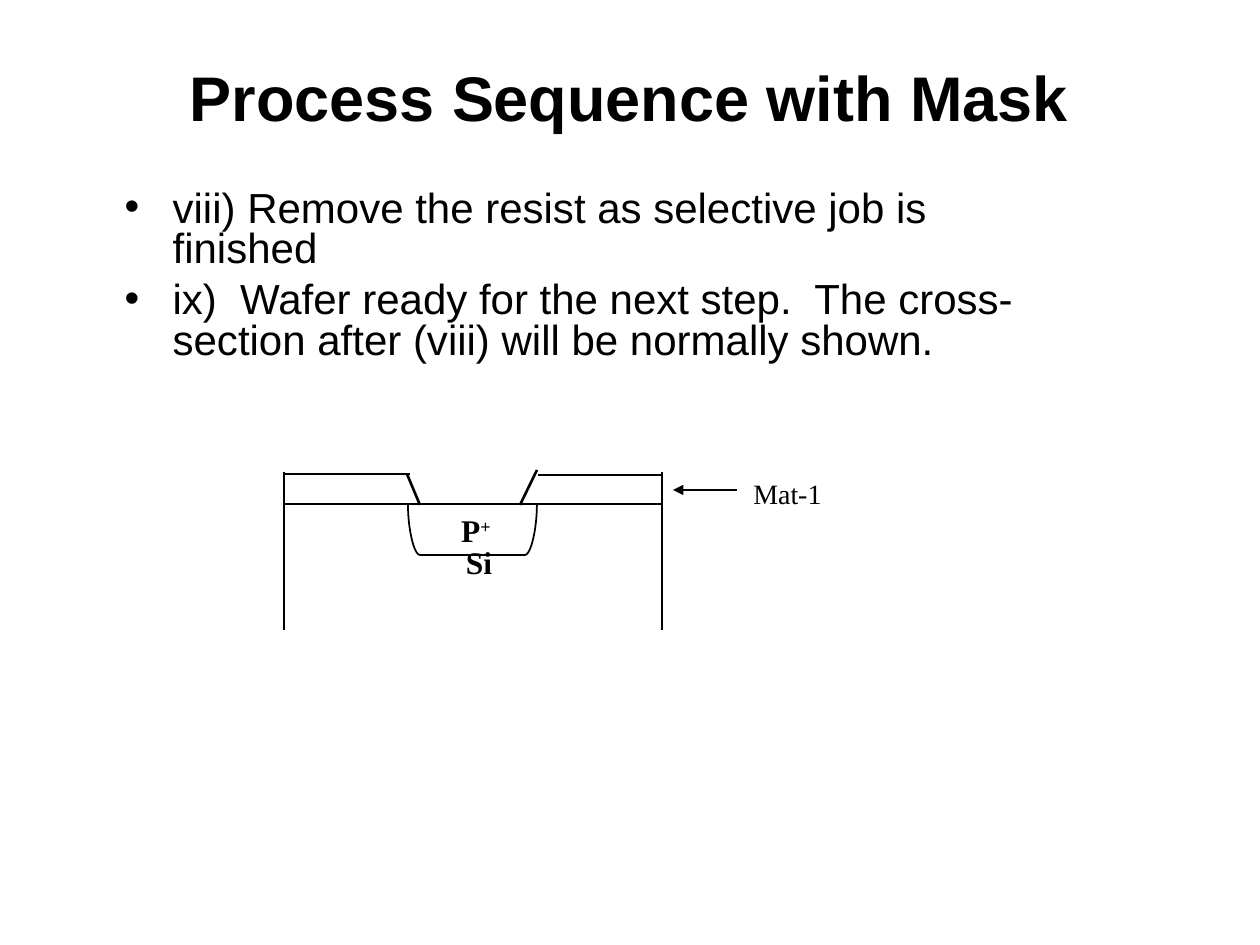
import pptx
import pptx.util
import pptx.dml.color
import pptx.enum.shapes
import pptx.enum.text
import pptx.oxml
import pptx.oxml.ns
import lxml.etree

SCALE = 914400 / 126
BLACK = "000000"
SERIF = "Times New Roman"
ALIGN = pptx.enum.text.PP_ALIGN
ANCHOR = pptx.enum.text.MSO_ANCHOR
LEFT, RIGHT, TOP, FLOOR, BASE = 284, 662, 472, 504, 630


def px(n):
    return pptx.util.Emu(round(n * SCALE))


def tint(color, code):
    color.rgb = pptx.dml.color.RGBColor.from_string(code)


def node(parent, tag, **attrs):
    return lxml.etree.SubElement(parent, pptx.oxml.ns.qn(tag), **attrs)


def place(shape, x, y, w, h):
    shape.left, shape.top, shape.width, shape.height = map(px, (x, y, w, h))


def style(para, size, name, bold=False):
    font = para.font
    font.size, font.name, font.bold = pptx.util.Pt(size), name, bold
    tint(font.color, BLACK)


def title(slide, text):
    shape = slide.shapes.title
    place(shape, 62, 40, 1134, 112)
    frame = shape.text_frame
    frame.text = text
    frame.auto_size = pptx.enum.text.MSO_AUTO_SIZE.NONE
    frame.vertical_anchor = ANCHOR.MIDDLE
    para = frame.paragraphs[0]
    para.alignment = ALIGN.CENTER
    style(para, 36, "Arial", True)


def bullets(slide, items):
    shape = slide.placeholders[1]
    place(shape, 112, 185, 937, 188)
    frame = shape.text_frame
    frame.text = "\n".join(items)
    frame.auto_size = pptx.enum.text.MSO_AUTO_SIZE.NONE
    for i, para in enumerate(frame.paragraphs):
        para.line_spacing = 0.8
        para.space_before = pptx.util.Pt(6 if i else 0)
        props = para._p.get_or_add_pPr()
        props.set("marL", str(px(48)))
        props.set("indent", str(-px(48)))
        node(props, "a:buChar", char="•")
        style(para, 24, "Arial")


def label(slide, box, text, size, bold=False, sup=""):
    shape = slide.shapes.add_textbox(0, 0, 0, 0)
    place(shape, *box)
    frame = shape.text_frame
    frame.margin_left = frame.margin_right = 0
    frame.margin_top = frame.margin_bottom = 0
    frame.word_wrap = True
    para = frame.paragraphs[0]
    para.alignment = ALIGN.CENTER
    para.add_run().text = text
    if sup:
        run = para.add_run()
        run.text = sup
        run._r.get_or_add_rPr().set("baseline", "30000")
    style(para, size, SERIF, bold)


def line(slide, start, end, width, arrow=False):
    kind = pptx.enum.shapes.MSO_CONNECTOR.STRAIGHT
    shape = slide.shapes.add_connector(kind, *map(px, start + end))
    shape.line.width = pptx.util.Pt(width)
    tint(shape.line.color, BLACK)
    if arrow:
        node(shape.line._get_or_add_ln(), "a:tailEnd", type="triangle")
    node(shape._element.spPr, "a:effectLst")


def curve(a, b, c, d, steps=16):
    for i in range(steps + 1):
        t = i / steps
        u = 1 - t
        yield tuple(
            u**3 * p + 3 * u * u * t * q + 3 * u * t * t * r + t**3 * s
            for p, q, r, s in zip(a, b, c, d)
        )


def well(slide):
    points = [
        *curve((537, 504), (537, 529), (531, 555), (525, 555)),
        *curve((420, 555), (414, 555), (408, 529), (408, 504)),
    ]
    first, *rest = [(px(x), px(y)) for x, y in points]
    path = slide.shapes.build_freeform(*first)
    path.add_line_segments(rest, close=False)
    shape = path.convert_to_shape()
    shape.shadow.inherit = False
    shape.fill.background()
    shape.line.width = pptx.util.Pt(1)
    tint(shape.line.color, BLACK)


def wafer(slide):
    for x in (LEFT, RIGHT):
        line(slide, (x, BASE), (x, TOP), 1)
    line(slide, (LEFT, FLOOR), (RIGHT, FLOOR), 1)
    line(slide, (285, 474), (410, 474), 1.5)
    line(slide, (538, 475), (663, 475), 1.5)
    line(slide, (407, 474), (420, 505), 1.5)
    line(slide, (520, 505), (537, 470), 1.5)


def main():
    deck = pptx.Presentation()
    deck.slide_width, deck.slide_height = px(1260), px(945)
    slide = deck.slides.add_slide(deck.slide_layouts[1])
    title(slide, "Process Sequence with Mask")
    bullets(slide, [
        "viii) Remove the resist as selective job is finished",
        "ix)  Wafer ready for the next step.  The cross-section after (viii) will be normally shown.",
    ])
    wafer(slide)
    well(slide)
    line(slide, (737, 490), (673, 490), 1.5, True)
    label(slide, (743, 476, 89, 34), "Mat-1", 16)
    label(slide, (459, 543, 40, 38), "Si", 18, True)
    label(slide, (426, 511, 100, 50), "P", 18, True, "+")
    deck.save("out.pptx")


if __name__ == "__main__":
    main()
